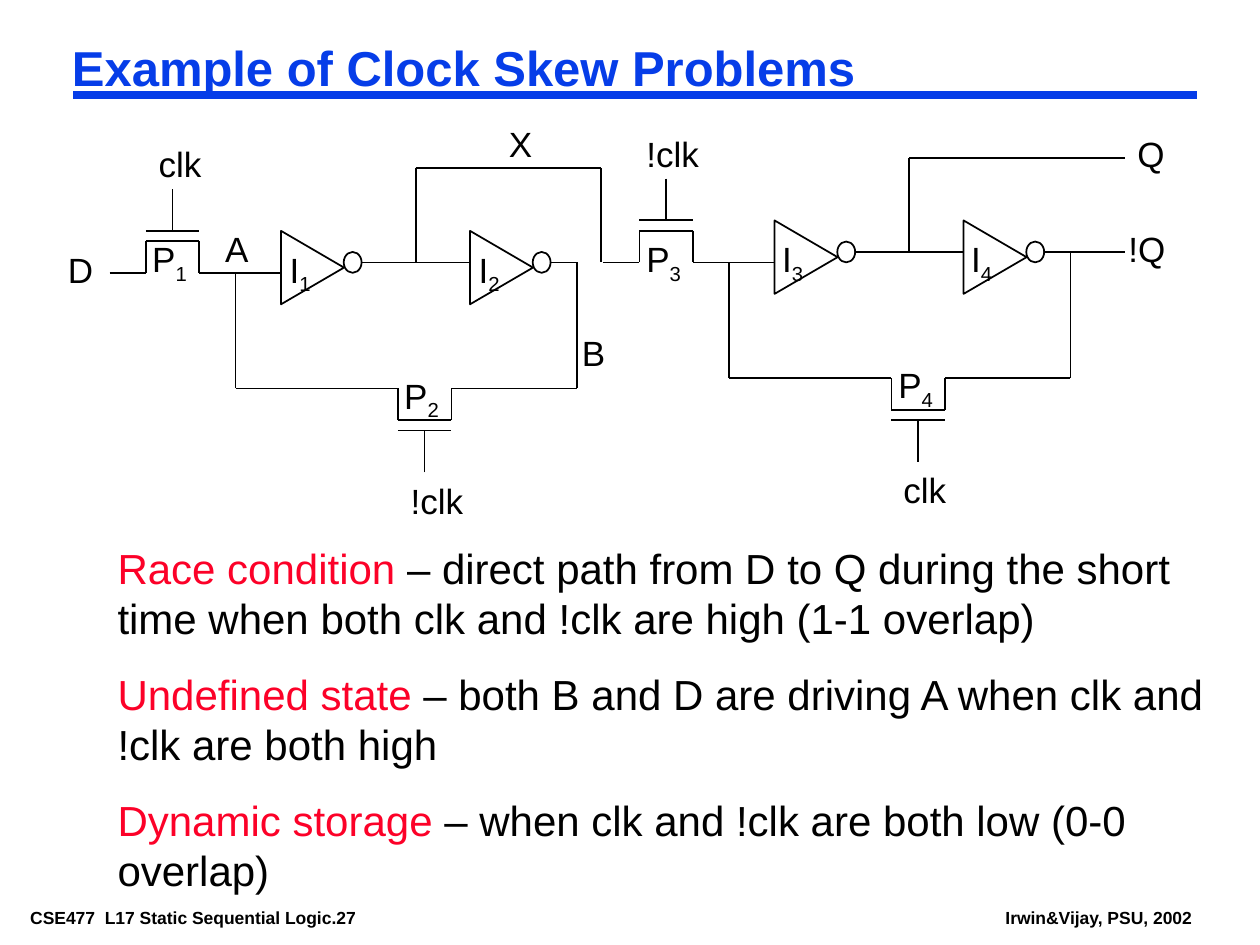
from typing import NamedTuple

from lxml.etree import SubElement
from pptx import Presentation
from pptx.dml.color import RGBColor
from pptx.enum.shapes import MSO_CONNECTOR, MSO_SHAPE
from pptx.enum.text import MSO_ANCHOR, MSO_AUTO_SIZE, PP_ALIGN
from pptx.oxml.ns import qn
from pptx.util import Cm, Pt

BLACK, BLUE, RED = "000000", "063DE8", "FC0128"
FONT = "Arial"

# Latch geometry in cm, for the left-hand latch
INPUT_Y, OUTPUT_Y, FEEDBACK_Y, TAP_Y = 5.5, 5.29, 7.83, 3.39
NODE_X, TAP_X, RETURN_X = 4.75, 8.38, 11.63
INVERTER_PITCH = 3.81


class Span(NamedTuple):
    text: str
    color: str = BLACK
    subscript: bool = False


class Margins(NamedTuple):
    left: float
    right: float
    vertical: float


class Label(NamedTuple):
    text: str
    left: float
    top: float
    width: float
    subscript: str = ""


class Latch(NamedTuple):
    dx: float
    dy: float
    output_end: float
    tap_end: float


class Note(NamedTuple):
    term: str
    explanation: str
    top: float
    width: float


HEADING_MARGINS = Margins(0.18, 0.18, 0.08)
LABEL_MARGINS = Margins(0.25, 0, 0.13)
NOTE_MARGINS = Margins(0.25, 0.25, 0.13)

LATCHES = [
    Latch(0, 0, output_end=11.63, tap_end=12.12),
    Latch(9.95, -0.21, output_end=22.68, tap_end=22.68),
]

LABELS = [
    Label("D", 1.12, 4.87, 1.02),
    Label("clk", 2.95, 2.75, 1.38),
    Label("X", 10.01, 2.33, 0.99),
    Label("A", 4.29, 4.45, 0.99),
    Label("B", 11.48, 6.56, 0.99),
    Label("!clk", 8.03, 9.53, 1.55),
    Label("!clk", 12.78, 2.54, 1.55),
    Label("clk", 17.96, 9.31, 1.38),
    Label("Q", 22.68, 2.54, 1.04),
    Label("!Q", 22.5, 4.45, 1.24),
    Label("P", 2.82, 4.66, 1.19, "1"),
    Label("P", 7.9, 7.41, 1.19, "2"),
    Label("P", 12.78, 4.66, 1.19, "3"),
    Label("P", 17.86, 7.2, 1.19, "4"),
    Label("I", 5.59, 4.87, 0.91, "1"),
    Label("I", 9.4, 4.87, 0.91, "2"),
    Label("I", 15.52, 4.66, 0.91, "3"),
    Label("I", 19.33, 4.66, 0.91, "4"),
]

NOTES = [
    Note("Race condition ",
         "– direct path from D to Q during the short time when both clk "
         "and !clk are high (1-1 overlap)", 10.8, 22.66),
    Note("Undefined state ",
         "– both B and D are driving A when clk and !clk are both high",
         13.34, 22.43),
    Note("Dynamic storage ",
         "– when clk and !clk are both low (0-0 overlap)", 15.88, 22.86),
]


def rgb(color: str) -> RGBColor:
    return RGBColor.from_string(color)


def format_text(shape, spans: list[Span], *, size: float, margins: Margins,
                bold: bool = False, wrap: bool = True,
                spacing: float = 1.0) -> None:
    frame = shape.text_frame
    frame.word_wrap = wrap
    frame.auto_size = MSO_AUTO_SIZE.SHAPE_TO_FIT_TEXT
    frame.vertical_anchor = MSO_ANCHOR.TOP
    frame.margin_left, frame.margin_right = Cm(margins.left), Cm(margins.right)
    frame.margin_top = frame.margin_bottom = Cm(margins.vertical)
    paragraph = frame.paragraphs[0]
    paragraph.alignment = PP_ALIGN.LEFT
    paragraph.line_spacing = spacing
    for span in spans:
        run = paragraph.add_run()
        run.text = span.text
        run.font.name = FONT
        run.font.size = Pt(size)
        run.font.bold = bold
        run.font.color.rgb = rgb(span.color)
        if span.subscript:
            run.font._element.set("baseline", "-25000")


def add_text(shapes, spans: list[Span], left: float, top: float,
             width: float, height: float, **style) -> None:
    box = shapes.add_textbox(Cm(left), Cm(top), Cm(width), Cm(height))
    format_text(box, spans, **style)


def add_wire(shapes, x1: float, y1: float, x2: float, y2: float, *,
             color: str = BLACK, weight: float = 1) -> None:
    wire = shapes.add_connector(MSO_CONNECTOR.STRAIGHT,
                                Cm(x1), Cm(y1), Cm(x2), Cm(y2))
    wire.line.color.rgb = rgb(color)
    wire.line.width = Pt(weight)
    SubElement(wire._element.spPr, qn("a:effectLst"))


def add_outline(shapes, kind: MSO_SHAPE, left: float, top: float,
                width: float, height: float, rotation: float = 0) -> None:
    shape = shapes.add_shape(kind, Cm(left), Cm(top), Cm(width), Cm(height))
    shape.rotation = rotation
    shape.shadow.inherit = False
    shape.fill.background()
    shape.line.color.rgb = rgb(BLACK)
    shape.line.width = Pt(1)


def add_inverter(shapes, left: float, output_y: float) -> None:
    parts = shapes.add_group_shape().shapes
    add_outline(parts, MSO_SHAPE.ISOSCELES_TRIANGLE,
                left, output_y - 0.53, 1.48, 1.27, rotation=90)
    add_outline(parts, MSO_SHAPE.OVAL, left + 1.37, output_y - 0.21, 0.36, 0.42)


def add_pass_transistor(shapes, center: float, wire_y: float,
                        direction: int) -> None:
    """Draw the gate above the wire for direction -1, below it for 1."""
    parts = shapes.add_group_shape().shapes
    left, right = center - 0.54, center + 0.54
    channel_y, gate_y, clock_y = (wire_y + direction * d
                                  for d in (0.64, 0.85, 1.69))
    for edge, lead_end in ((left, center - 1.27), (right, center + 1.27)):
        add_wire(parts, lead_end, wire_y, edge, wire_y)
        add_wire(parts, edge, channel_y, edge, wire_y)
    for bar_y in (channel_y, gate_y):
        add_wire(parts, left, bar_y, right, bar_y)
    add_wire(parts, center, clock_y, center, gate_y)


def add_latch(shapes, latch: Latch) -> None:
    dx, dy, output_end, tap_end = latch
    input_y, output_y, feedback_y, tap_y = (
        y + dy for y in (INPUT_Y, OUTPUT_Y, FEEDBACK_Y, TAP_Y))
    node_x, tap_x, return_x = (x + dx for x in (NODE_X, TAP_X, RETURN_X))

    for i in range(2):
        add_inverter(shapes, 5.56 + dx + i * INVERTER_PITCH, output_y)
    add_pass_transistor(shapes, 3.48 + dx, input_y, -1)
    add_pass_transistor(shapes, 8.56 + dx, feedback_y, 1)

    for wire in (
        (node_x - 0.36, input_y, node_x + 0.91, input_y),
        (node_x, input_y, node_x, feedback_y),
        (node_x, feedback_y, node_x + 2.9, feedback_y),
        (return_x - 1.98, feedback_y, return_x, feedback_y),
        (return_x, output_y, return_x, feedback_y),
        (7.29 + dx, output_y, 9.47 + dx, output_y),
        (11.1 + dx, output_y, output_end, output_y),
        (tap_x, tap_y, tap_x, output_y),
        (tap_x, tap_y, tap_end, tap_y),
    ):
        add_wire(shapes, *wire)


def main() -> None:
    deck = Presentation()
    deck.slide_width, deck.slide_height = Cm(25.4), Cm(19.05)
    shapes = deck.slides.add_slide(deck.slide_layouts[5]).shapes

    for credit, left, width in (
        ("CSE477  L17 Static Sequential Logic.27", 0.43, 8.23),
        ("Irwin&Vijay, PSU, 2002", 20.09, 4.14),
    ):
        add_text(shapes, [Span(credit)], left, 18.21, width, 0.56, size=10,
                 bold=True, wrap=False, margins=HEADING_MARGINS)
    add_wire(shapes, 1.48, 1.91, 24.13, 1.91, color=BLUE, weight=4.5)

    title = shapes.title
    title.left, title.top = Cm(1.27), Cm(0.84)
    title.width, title.height = Cm(22.43), Cm(1.17)
    format_text(title, [Span("Example of Clock Skew Problems", BLUE)], size=28,
                bold=True, margins=HEADING_MARGINS, spacing=0.87)

    for latch in LATCHES:
        add_latch(shapes, latch)
    link_x = LATCHES[0].tap_end
    add_wire(shapes, link_x, TAP_Y, link_x, OUTPUT_Y)

    for label in LABELS:
        spans = [Span(label.text)]
        if label.subscript:
            spans.append(Span(label.subscript, subscript=True))
        add_text(shapes, spans, label.left, label.top, label.width, 1.12,
                 size=20, margins=LABEL_MARGINS)
    for note in NOTES:
        add_text(shapes, [Span(note.term, RED), Span(note.explanation)],
                 2.12, note.top, note.width, 2.29, size=24,
                 margins=NOTE_MARGINS)

    deck.save("out.pptx")


if __name__ == "__main__":
    main()
